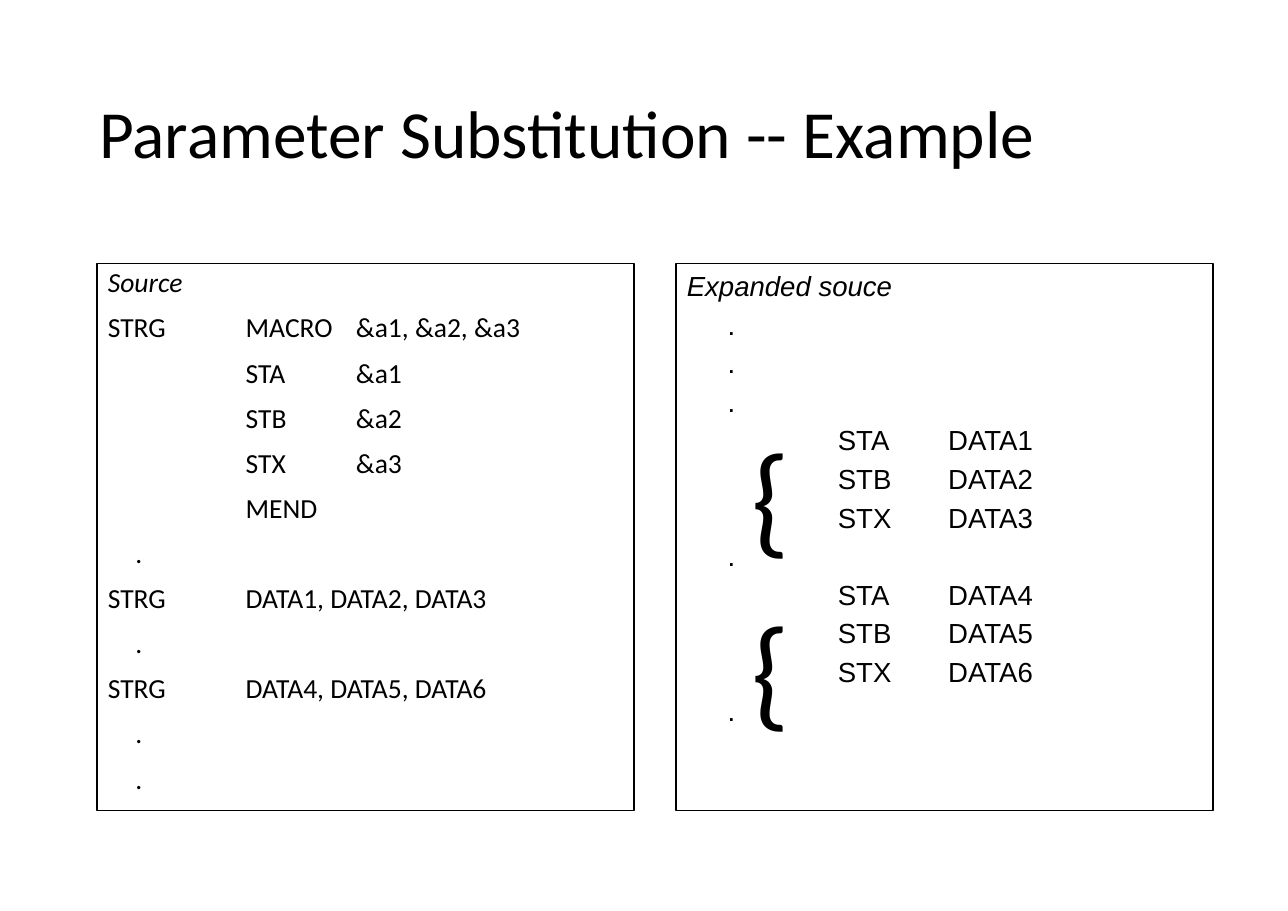
from pptx import Presentation, util as u
from pptx.dml.color import RGBColor
from pptx.enum import shapes, text

COLORS = {"ink": "000000", "paper": "FFFFFF"}
INK = RGBColor.from_string(COLORS["ink"])

deck = Presentation()
deck.slide_width, deck.slide_height = u.Inches(11.68), u.Inches(8.26)
slide = deck.slides.add_slide(deck.slide_layouts[5])
slide.background.fill.solid()
slide.background.fill.fore_color.rgb = RGBColor.from_string(COLORS["paper"])


def style(paragraph, font_name, size):
    paragraph.alignment = text.PP_ALIGN.LEFT
    for run in paragraph.runs:
        run.font.name = font_name
        run.font.size = u.Pt(size)
        run.font.color.rgb = INK


# Title
title = slide.shapes.title
title.left, title.top = u.Inches(0.8), u.Inches(0.44)
title.width, title.height = u.Inches(10.07), u.Inches(1.6)
title.text_frame.text = "Parameter Substitution -- Example"
title.text_frame.vertical_anchor = text.MSO_ANCHOR.MIDDLE
title.text_frame.paragraphs[0].line_spacing = 0.9
style(title.text_frame.paragraphs[0], "Calibri", 44)

# Two code panels side by side; code columns are one tab apart
PANEL_LEFT, PANEL_TOP, PANEL_WIDTH, PANEL_HEIGHT, PANEL_GAP = 0.88, 2.39, 4.87, 4.96, 0.38
TAB = u.Inches(1)

macro_source = [
    "Source",
    "STRG \tMACRO\t&a1, &a2, &a3",
    "\t\tSTA\t&a1",
    "\t\tSTB\t&a2",
    "\t\tSTX\t&a3",
    "\t\tMEND",
    "\t.",
    "STRG\tDATA1, DATA2, DATA3",
    "\t.",
    "STRG\tDATA4, DATA5, DATA6",
    "\t.",
    "\t.",
]
expanded_source = ["Expanded souce"] + ["\t."] * 3
for first in (1, 4):
    for offset, opcode in enumerate(("STA", "STB", "STX")):
        expanded_source.append(f"\t\t{opcode}\tDATA{first + offset}")
    expanded_source.append("\t.")

# lines, font, hanging indent (in), line spacing, space before (pt), border (pt)
panels = [
    (macro_source, "Calibri", 0.25, 0.9, 10, 0.75),
    (expanded_source, "Arial", 0.37, 1.0, 3.6, 1),
]
for column, (lines, font_name, hanging, spacing, before, border) in enumerate(panels):
    panel = slide.shapes.add_shape(
        shapes.MSO_SHAPE.RECTANGLE,
        u.Inches(PANEL_LEFT + column * (PANEL_WIDTH + PANEL_GAP)), u.Inches(PANEL_TOP),
        u.Inches(PANEL_WIDTH), u.Inches(PANEL_HEIGHT))
    panel.shadow.inherit = False
    panel.fill.background()
    panel.line.color.rgb = INK
    panel.line.width = u.Pt(border)
    frame = panel.text_frame
    frame.word_wrap = True
    frame.vertical_anchor = text.MSO_ANCHOR.TOP
    frame.text = "\n".join(lines)
    for row, paragraph in enumerate(frame.paragraphs):
        style(paragraph, font_name, 18)
        paragraph.line_spacing = spacing
        paragraph.space_before = u.Pt(before if row else 0)
        properties = paragraph._p.get_or_add_pPr()
        properties.set("marL", str(u.Inches(hanging)))
        properties.set("indent", str(-u.Inches(hanging)))
        properties.set("defTabSz", str(TAB))
    frame.paragraphs[0].runs[0].font.italic = True

# Braces that group each expansion of the macro
for group in range(2):
    brace = slide.shapes.add_textbox(
        u.Inches(6.72), u.Inches(3.76 + group * 1.57), u.Inches(0.71), u.Inches(1.45))
    brace.text_frame.word_wrap = True
    brace.text_frame.text = "{"
    style(brace.text_frame.paragraphs[0], "Calibri", 80)

deck.save("out.pptx")
